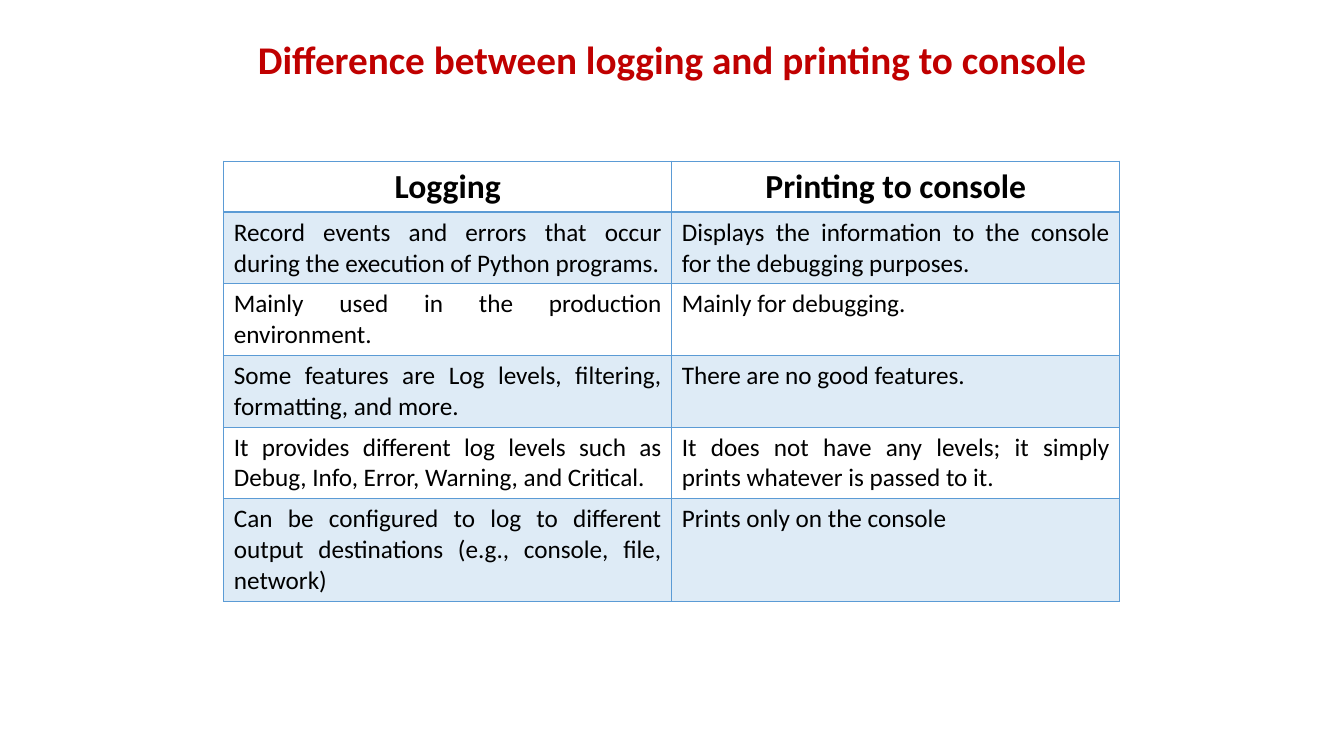
from lxml.etree import SubElement as Sub
from pptx import Presentation
from pptx.dml.color import RGBColor as Rgb
from pptx.enum.text import MSO_ANCHOR as Anchor, PP_ALIGN as Align
from pptx.oxml import parse_xml
from pptx.oxml.ns import nsdecls, qn
from pptx.util import Cm, Pt

COLORS = {"title": "C00000", "text": "000000", "blue": "5B9BD5"}
FONT = "Calibri"

ROWS = [
    ("Logging", "Printing to console"),
    ("Record events and errors that occur during the execution of Python programs.",
     "Displays the information to the console for the debugging purposes."),
    ("Mainly used in the production environment.", "Mainly for debugging."),
    ("Some features are Log levels, filtering, formatting, and more.",
     "There are no good features."),
    ("It provides different log levels such as Debug, Info, Error, Warning, and Critical.",
     "It does not have any levels; it simply prints whatever is passed to it."),
    ("Can be configured to log to different output destinations (e.g., console, file, network)",
     "Prints only on the console"),
]
HEIGHTS = [1.28] + [1.8] * 4 + [2.59]


class Deck:
    def __init__(self):
        self.prs = Presentation()
        self.prs.slide_width, self.prs.slide_height = Cm(33.87), Cm(19.05)
        self.slide = self.prs.slides.add_slide(self.prs.slide_layouts[5])

    def label(self, frame, text, size, color, align, bold):
        frame.text = text
        para = frame.paragraphs[0]
        para.alignment = align
        font = para.runs[0].font
        font.name, font.size, font.bold = FONT, Pt(size), bold
        font.color.rgb = Rgb.from_string(COLORS[color])
        return para

    def title(self, text, left, top, width, height):
        shape = self.slide.shapes.title
        shape.left, shape.top = Cm(left), Cm(top)
        shape.width, shape.height = Cm(width), Cm(height)
        frame = shape.text_frame
        frame.word_wrap = True
        frame.vertical_anchor = Anchor.MIDDLE
        para = self.label(frame, text, 28, "title", Align.CENTER, True)
        para.line_spacing = 0.9

    def border(self, cell, widths):
        # Border lines come before the fill in the cell properties
        props = cell._tc.get_or_add_tcPr()
        for spot, (side, width) in enumerate(zip("LRTB", widths)):
            props.insert(spot, parse_xml(
                f'<a:ln{side} {nsdecls("a")} w="{Pt(width)}"><a:solidFill>'
                f'<a:srgbClr val="{COLORS["blue"]}"/></a:solidFill></a:ln{side}>'))

    def tint(self, cell, percent):
        cell.fill.solid()
        cell.fill.fore_color.rgb = Rgb.from_string(COLORS["blue"])
        color = cell._tc.tcPr.find(qn("a:solidFill")).find(qn("a:srgbClr"))
        Sub(color, qn("a:alpha")).set("val", str(percent * 1000))

    def table(self, rows, heights, left, top, width):
        count = len(rows[0])
        table = self.slide.shapes.add_table(
            len(rows), count, Cm(left), Cm(top), Cm(width), Cm(sum(heights))).table
        table.first_row = table.horz_banding = False
        for col in table.columns:
            col.width = Cm(width / count)
        for r, (texts, height) in enumerate(zip(rows, heights)):
            table.rows[r].height = Cm(height)
            head = r == 0
            for c, text in enumerate(texts):
                cell = table.cell(r, c)
                self.label(cell.text_frame, text, 24 if head else 18, "text",
                           Align.CENTER if head else Align.JUSTIFY, head)
                if r % 2:
                    self.tint(cell, 20)
                else:
                    cell.fill.background()
                self.border(cell, (1, 1, 2 if r == 1 else 1, 2 if head else 1))


def main():
    deck = Deck()
    # Heading
    deck.title("Difference between logging and printing to console",
               6.1, 0.25, 21.67, 2.59)
    # Comparison table
    deck.table(ROWS, HEIGHTS, 5.64, 4.06, 22.58)
    deck.prs.save("out.pptx")


if __name__ == "__main__":
    main()
